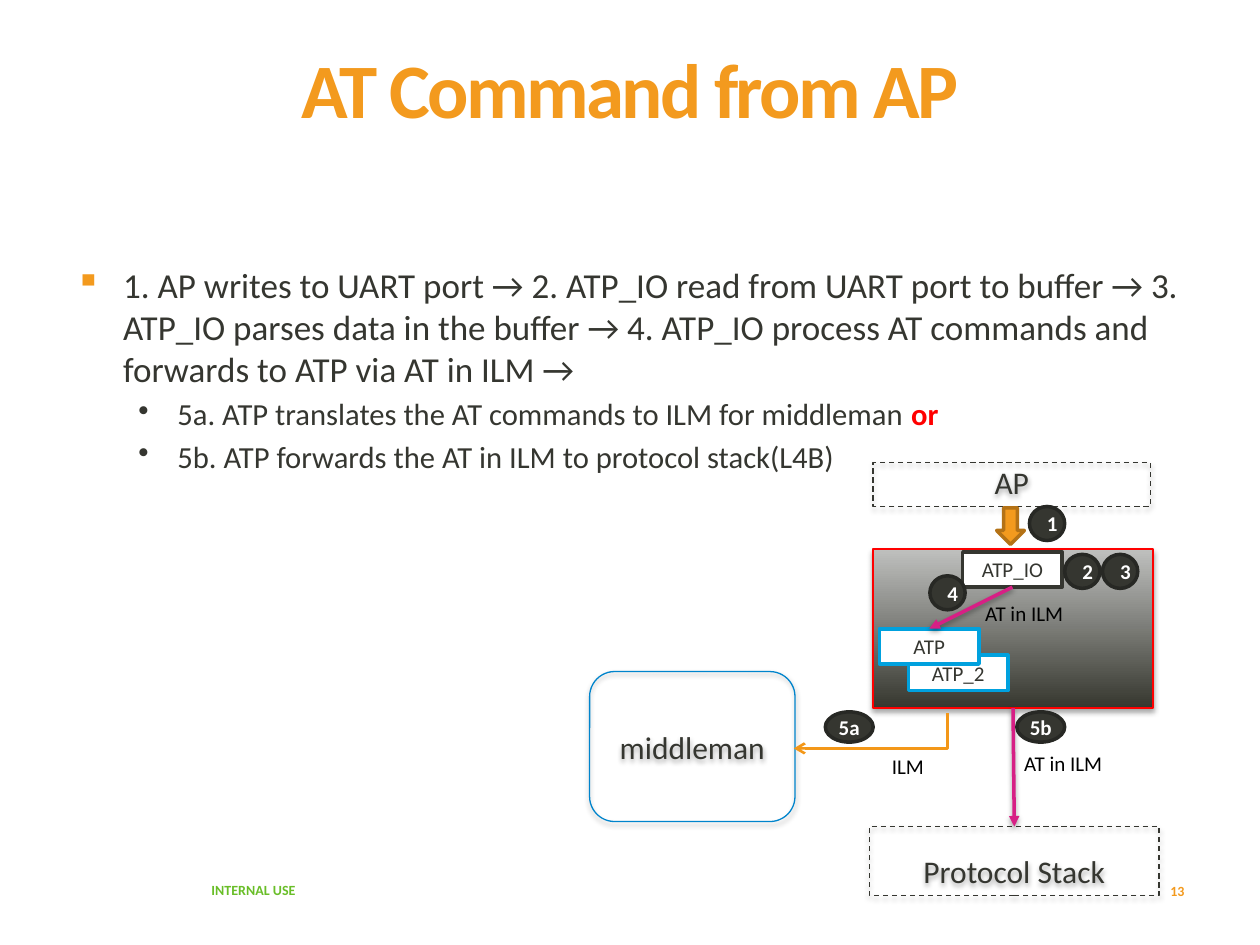
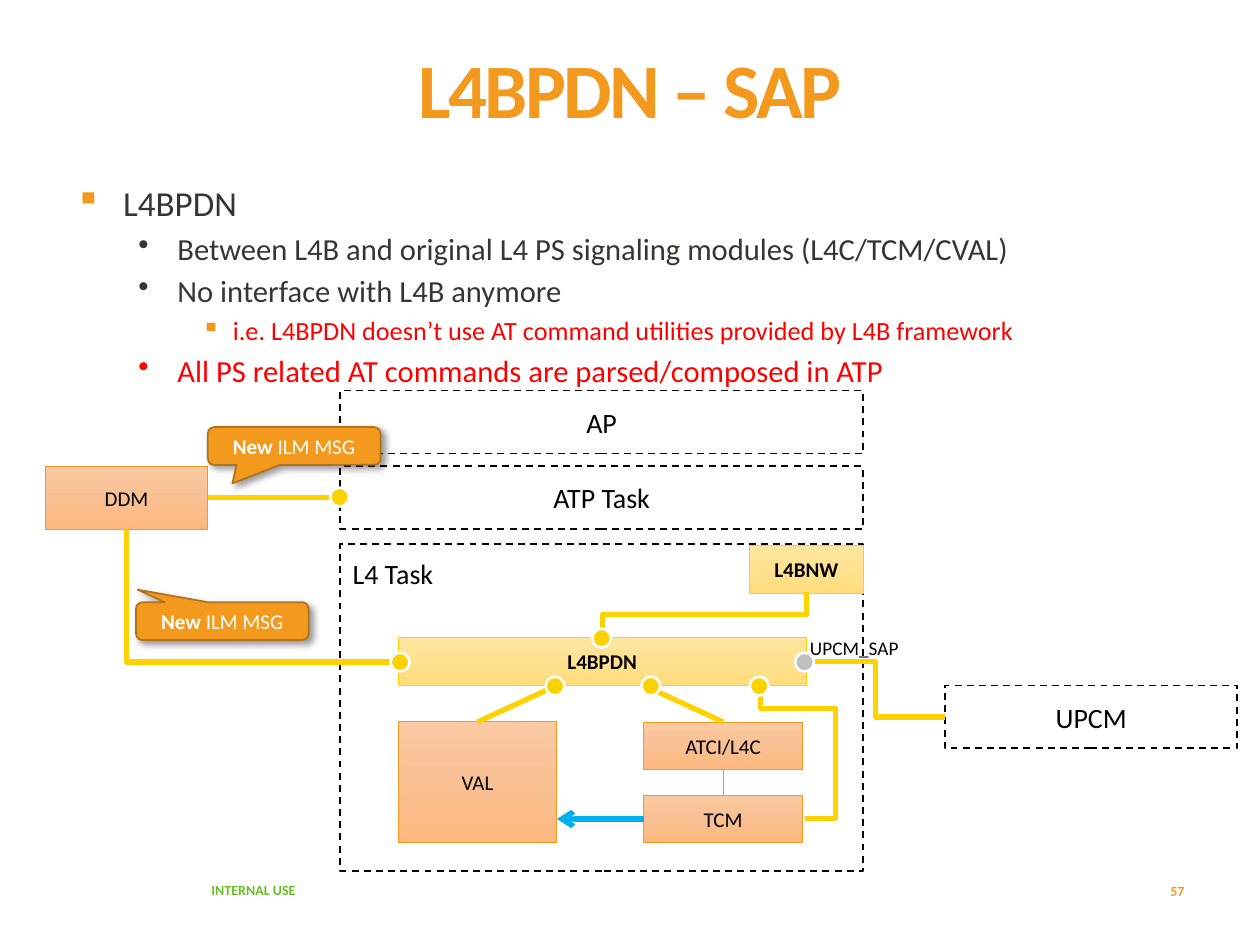
from lxml.etree import SubElement
from pptx import Presentation
from pptx.dml.color import RGBColor as RGB
from pptx.enum.dml import MSO_LINE_DASH_STYLE as DASH
from pptx.enum.shapes import MSO_CONNECTOR_TYPE as LINK, MSO_SHAPE as FORM
from pptx.enum.text import MSO_ANCHOR as ANCHOR, PP_ALIGN as ALIGN
from pptx.oxml.ns import qn
from pptx.util import Emu, Pt

PX = 9144  # 100 px to the inch
FONT = "Calibri"
TOP, LEFT, BOTTOM, RIGHT = range(4)

BLACK = RGB(0, 0, 0)
WHITE = RGB(255, 255, 255)
RED = RGB(255, 0, 0)
INK = RGB(0x35, 0x36, 0x30)
COAL = RGB(0x27, 0x28, 0x24)
ORANGE = RGB(0xF3, 0x9A, 0x1E)
AMBER = RGB(0xF3, 0x97, 0x18)
BROWN = RGB(0xB4, 0x72, 0x16)
GREEN = RGB(0x69, 0xBE, 0x28)
BLUE = RGB(0x00, 0x84, 0xCC)
CYAN = RGB(0x00, 0xA1, 0xDE)
SKY = RGB(0x00, 0xB0, 0xF0)
PINK = RGB(0xD7, 0x1F, 0x85)
YELLOW = RGB(0xFE, 0xD1, 0x00)
GREY = RGB(0xBF, 0xBF, 0xBF)

# Gradients from top to bottom
PEACH = ("FBC9A1", "F9C093", "FDB87E")
LEMON = ("FFE59E", "FFE190", "FFDD7C")
STEEL = ("BFC0BE", "36372F")

# Shadows: opacity %, blur pt, distance pt, angle
SOFT = (35, 3.1, 1.8, 90)
THIN = (38, 3.1, 1.6, 90)
DEEP = (40, 4, 3, 45)

# Body levels: left px, hang px, size, bullet, bullet colour
LEVELS = [(38, 38, 20, "▪", ORANGE),
          (81, 31, 17.5, "•", None),
          (125, 25, 15, "▪", ORANGE)]


def px(*sizes):
    return [Emu(size * PX) for size in sizes]


# Text
def style(run, size, color, bold=False):
    font = run.font
    font.name, font.size, font.bold = FONT, Pt(size), bold
    font.color.rgb = color


def write(frame, text, size, color, bold=False, align=ALIGN.LEFT,
          anchor=ANCHOR.TOP, wrap=True):
    frame.word_wrap = wrap
    frame.vertical_anchor = anchor
    par = frame.paragraphs[0]
    par.text = text
    par.alignment = align
    style(par.runs[0], size, color, bold)
    return par


def label(slide, box, text, size, color, **look):
    frame = slide.shapes.add_textbox(*px(*box)).text_frame
    return frame, write(frame, text, size, color, **look)


def inset(frame, left, top, right, bottom):
    (frame.margin_left, frame.margin_top,
     frame.margin_right, frame.margin_bottom) = px(left, top, right, bottom)


# Shapes
def shade(spot, look):
    """Fill the empty effect list of a shape or connector."""
    alpha, blur, dist, angle = look
    glow = SubElement(spot, qn("a:outerShdw"), blurRad=str(Pt(blur)),
                      dist=str(Pt(dist)), dir=str(angle * 60000),
                      rotWithShape="0")
    tone = SubElement(glow, qn("a:srgbClr"), val="000000")
    SubElement(tone, qn("a:alpha"), val=str(alpha * 1000))


def blend(fill, stops):
    fill.gradient()
    fill.gradient_angle = 270
    bank = next(fill_part for fill_part in fill._xPr.iter(qn("a:gsLst")))
    for stop in list(bank):
        bank.remove(stop)
    for i, tone in enumerate(stops):
        stop = SubElement(bank, qn("a:gs"), pos=str(100000 * i // (len(stops) - 1)))
        SubElement(stop, qn("a:srgbClr"), val=tone)


def block(slide, form, box, fill, line, width, dash=False, shadow=None):
    shape = slide.shapes.add_shape(form, *px(*box))
    shape.shadow.inherit = False
    if fill is None:
        shape.fill.background()
    elif isinstance(fill, RGB):
        shape.fill.solid()
        shape.fill.fore_color.rgb = fill
    else:
        blend(shape.fill, fill)
    shape.line.color.rgb = line
    shape.line.width = Pt(width)
    if dash:
        shape.line.dash_style = DASH.DASH
    if shadow:
        shade(shape.element.spPr.find(qn("a:effectLst")), shadow)
    return shape


def name(shape, text, size, color, bold=False, anchor=ANCHOR.MIDDLE):
    return write(shape.text_frame, text, size, color, bold, ALIGN.CENTER, anchor)


def outer(slide, box, text, form=FORM.RECTANGLE, line=INK, dash=True,
          anchor=ANCHOR.BOTTOM):
    shape = block(slide, form, box, None, line, 0.75, dash, SOFT)
    name(shape, text, 18, INK, anchor=anchor)
    return shape


def unit(slide, x, y, text, line):
    shape = block(slide, FORM.RECTANGLE, (x, y, 79, 28), WHITE, line, 2)
    name(shape, text, 12, INK)
    return shape


def badge(slide, box, text):
    shape = block(slide, FORM.OVAL, box, INK, COAL, 2)
    name(shape, text, 12, WHITE, True)
    return shape.text_frame


def task(slide, box, text):
    shape = block(slide, FORM.RECTANGLE, box, None, BLACK, 1, True)
    name(shape, text, 16, BLACK)
    return shape


def module(slide, box, text, fill=PEACH, line=ORANGE):
    shape = block(slide, FORM.RECTANGLE, box, fill, line, 0.5)
    name(shape, text, 12, BLACK, fill is LEMON)
    return shape


def callout(slide, x, y, tip):
    shape = block(slide, FORM.ROUNDED_RECTANGULAR_CALLOUT, (x, y, 137, 30),
                  ORANGE, BROWN, 1, shadow=DEEP)
    for i, value in enumerate((*tip, 0.167)):
        shape.adjustments[i] = value
    run = name(shape, "New", 12, WHITE, True).add_run()
    run.text = " ILM MSG"
    style(run, 12, WHITE)


def dot(slide, x, y, color=YELLOW):
    block(slide, FORM.OVAL, (x, y, 15, 15), color, WHITE, 1.5)


# Lines
def ink(line, color, width, head=None, shadow=None):
    line.line.color.rgb = color
    line.line.width = Pt(width)
    if head:
        SubElement(line.line._get_or_add_ln(), qn("a:tailEnd"), type=head)
    spot = SubElement(line.element.spPr, qn("a:effectLst"))
    if shadow:
        shade(spot, shadow)


def link(slide, start, end, color, width, head=None, shadow=None):
    """Join two ends, each a point or a (shape, side) pair."""
    line = slide.shapes.add_connector(LINK.STRAIGHT, 0, 0, 0, 0)
    if isinstance(start[0], int):
        line.begin_x, line.begin_y = px(*start)
    else:
        line.begin_connect(*start)
    if isinstance(end[0], int):
        line.end_x, line.end_y = px(*end)
    else:
        line.end_connect(*end)
    ink(line, color, width, head, shadow)


def bend(slide, box, form, turn=0, flip="", adjust=(),
         color=YELLOW, width=3, head=None):
    x, y, wide, high = box
    line = slide.shapes.add_connector(LINK.ELBOW, *px(x, y, x + wide, y + high))
    part = line.element.spPr
    frame = part.find(qn("a:xfrm"))
    frame.set("rot", str(turn * 60000))
    for side in flip:
        frame.set("flip" + side, "1")
    shape = part.find(qn("a:prstGeom"))
    shape.set("prst", form)
    for i, value in enumerate(adjust, 1):
        SubElement(shape.find(qn("a:avLst")), qn("a:gd"), name=f"adj{i}",
                   fmla=f"val {round(value * 100000)}")
    ink(line, color, width, head)


# Shared page parts
def page(deck, title, number):
    slide = deck.slides.add_slide(deck.slide_layouts[6])
    label(slide, (158, 686, 176, 40), "INTERNAL USE", 8, GREEN, bold=True,
          anchor=ANCHOR.MIDDLE)
    frame, par = label(slide, (50, 47, 900, 139), title, 44, ORANGE, bold=True,
                       align=ALIGN.CENTER)
    inset(frame, 10, 0, 10, 5)
    par.line_spacing = 0.8
    par.runs[0].font._element.set("spc", "-150")
    label(slide, (834, 687, 116, 40), number, 8, ORANGE, bold=True,
          align=ALIGN.RIGHT, anchor=ANCHOR.MIDDLE)
    return slide


def body(slide, top, high, items):
    frame = slide.shapes.add_textbox(*px(50, top, 900, high)).text_frame
    frame.word_wrap = True
    for i, (level, text, color) in enumerate(items):
        par = frame.add_paragraph() if i else frame.paragraphs[0]
        left, hang, size, mark, tint = LEVELS[level]
        par.text = text
        par.level = level
        par.space_before = Pt(size * 0.2)
        style(par.runs[0], size, color)
        props = par._p.get_or_add_pPr()
        props.set("marL", str(left * PX))
        props.set("indent", str(-hang * PX))
        if tint:
            SubElement(SubElement(props, qn("a:buClr")), qn("a:srgbClr"), val=str(tint))
        SubElement(props, qn("a:buChar"), char=mark)
    return frame


def command(deck):
    slide = page(deck, "AT Command from AP", "13")
    frame = body(slide, 204, 163, [
        (0, "1. AP writes to UART port → 2. ATP_IO read from UART port to buffer → "
            "3. ATP_IO parses data in the buffer → 4. ATP_IO process AT commands "
            "and forwards to ATP via AT in ILM →", INK),
        (1, "5a. ATP translates the AT commands to ILM for middleman ", INK),
        (1, "5b. ATP forwards the AT in ILM to protocol stack(L4B)", INK)])
    run = frame.paragraphs[1].add_run()
    run.text = "or"
    style(run, 17.5, RED, True)

    # Boxes
    outer(slide, (468, 533, 163, 119), "middleman", FORM.ROUNDED_RECTANGLE,
          BLUE, False, ANCHOR.MIDDLE)
    outer(slide, (693, 367, 220, 35), "AP")
    core = block(slide, FORM.RECTANGLE, (693, 436, 222, 126), STEEL, RED, 1,
                 shadow=SOFT)
    unit(slide, 721, 520, "ATP_2", CYAN)
    atp = unit(slide, 698, 499, "ATP", CYAN)
    port = unit(slide, 764, 438, "ATP_IO", INK)
    stack = outer(slide, (690, 656, 230, 55), "Protocol Stack")

    # Flow
    link(slide, (core, BOTTOM), (stack, TOP), PINK, 2, "triangle", THIN)
    link(slide, (port, BOTTOM), (atp, TOP), PINK, 2, "triangle", THIN)
    block(slide, FORM.DOWN_ARROW, (791, 403, 22, 29), ORANGE, BROWN, 2)
    bend(slide, (677, 519, 28, 122), "bentConnector2", 90,
         color=AMBER, width=1.5, head="arrow")
    for x, y, wide, text in [(803, 591, 83, "AT in ILM"), (698, 593, 46, "ILM"),
                             (772, 472, 83, "AT in ILM")]:
        label(slide, (x, y, wide, 30), text, 12, BLACK, wrap=False)

    # Step badges
    for x, y, text in [(817, 402, "1"), (845, 440, "2"), (738, 457, "4"),
                       (875, 440, "3")]:
        badge(slide, (x, y, 28, 27), text)
    for x, text in [(807, "5b"), (655, "5a")]:
        frame = badge(slide, (x, 565, 38, 24), text)
        inset(frame, 0, 0, 0, 0)
        frame.word_wrap = False


def access(deck):
    slide = page(deck, "L4BPDN – SAP", "57")
    body(slide, 139, 160, [
        (0, "L4BPDN", INK),
        (1, "Between L4B and original L4 PS signaling modules (L4C/TCM/CVAL)", INK),
        (1, "No interface with L4B anymore", INK),
        (2, "i.e. L4BPDN doesn’t use AT command utilities provided by L4B framework",
         RED),
        (1, "All PS related AT commands are parsed/composed in ATP", RED)])

    # Tasks
    task(slide, (270, 310, 415, 50), "AP")
    atp = task(slide, (270, 370, 415, 50), "ATP Task")
    frame = task(slide, (270, 432, 415, 259), "L4 Task").text_frame
    frame.vertical_anchor = ANCHOR.TOP
    frame.paragraphs[0].alignment = ALIGN.LEFT
    inset(frame, 10, 10, 10, 5)
    task(slide, (750, 544, 232, 50), "UPCM")

    # Modules and their links
    atci = module(slide, (511, 573, 126, 38), "ATCI/L4C")
    val = module(slide, (316, 573, 126, 96), "VAL")
    tcm = module(slide, (511, 631, 126, 38), "TCM")
    link(slide, (atci, BOTTOM), (tcm, TOP), ORANGE, 0.5)
    link(slide, (atci, TOP), (511, 544), YELLOW, 3)
    link(slide, (val, TOP), (442, 544), YELLOW, 3)
    module(slide, (316, 506, 324, 38), "L4BPDN", LEMON, YELLOW)
    link(slide, (tcm, LEFT), (442, 650), SKY, 3, "arrow")
    ddm = module(slide, (36, 370, 129, 50), "DDM")
    link(slide, (atp, LEFT), (ddm, RIGHT), YELLOW, 3)
    bend(slide, (155, 365, 106, 215), "bentConnector2", 270, "H")
    callout(slide, 108, 478, (-0.49, -0.832))
    bend(slide, (640, 525, 110, 44), "bentConnector3", adjust=[0.5])
    callout(slide, 165, 339, (-0.358, 0.991))
    bend(slide, (568, 579, 106, 35), "bentConnector4", 270, "H", [0.175, 1.71])
    module(slide, (595, 433, 90, 38), "L4BNW", LEMON, YELLOW)
    bend(slide, (541, 407, 36, 162), "bentConnector3", 90, "HV", [0.5])

    # Access points
    dot(slide, 631, 518, GREY)
    for x, y in [(433, 537), (509, 537), (595, 537), (310, 518), (262, 387),
                 (470, 499)]:
        dot(slide, x, y)
    label(slide, (633, 500, 91, 29), "UPCM_SAP", 11, BLACK, wrap=False)


def main():
    deck = Presentation()
    deck.slide_width, deck.slide_height = px(1000, 750)
    command(deck)
    access(deck)
    deck.save("out.pptx")


if __name__ == "__main__":
    main()
